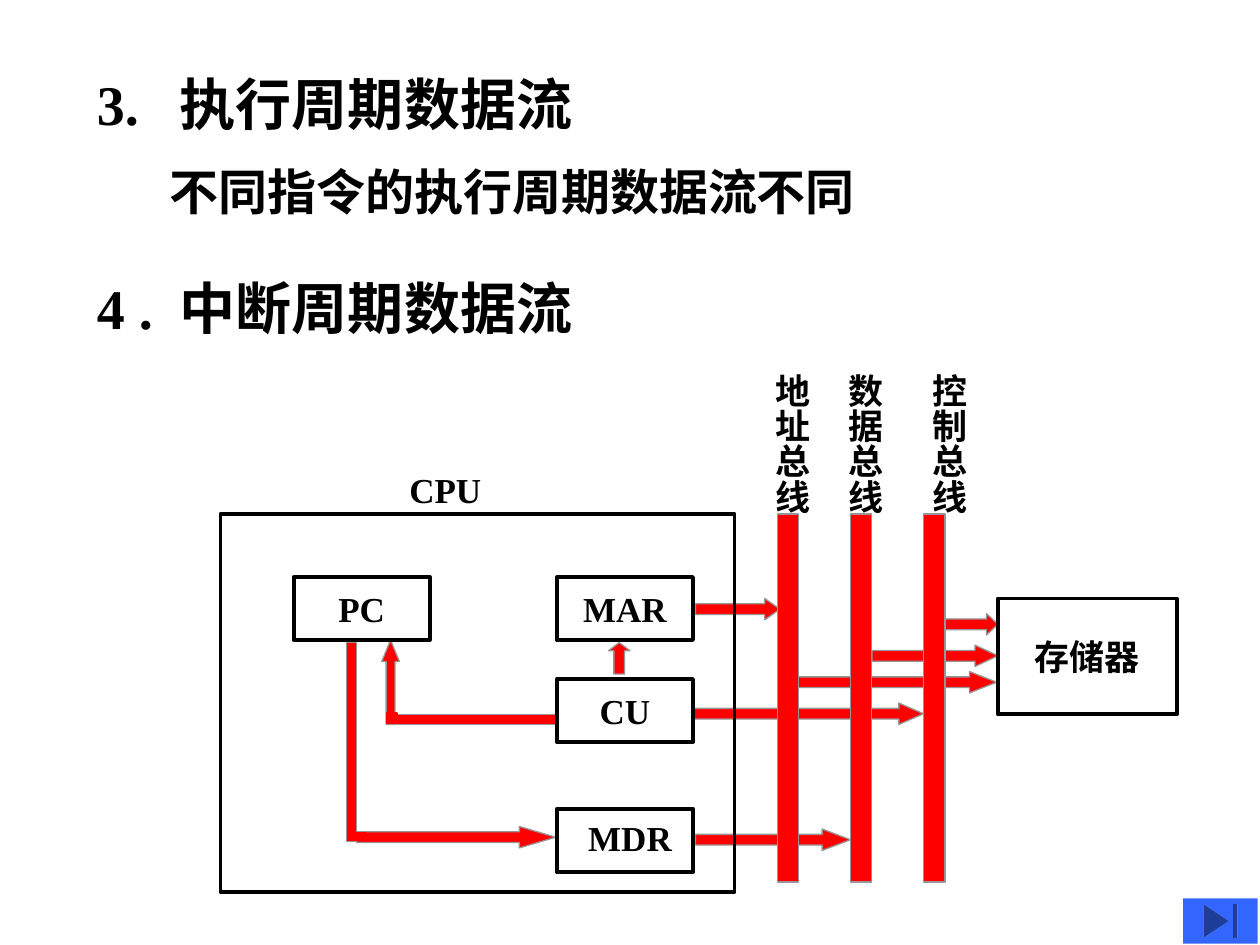
from lxml import etree
from pptx import Presentation
from pptx.dml.color import RGBColor
from pptx.enum.shapes import MSO_SHAPE
from pptx.enum.text import MSO_ANCHOR, MSO_AUTO_SIZE, PP_ALIGN
from pptx.oxml.ns import qn
from pptx.util import Inches, Pt

RECTANGLE = MSO_SHAPE.RECTANGLE
RIGHT_ARROW = MSO_SHAPE.RIGHT_ARROW
UP_ARROW = MSO_SHAPE.UP_ARROW
END_BUTTON = MSO_SHAPE.ACTION_BUTTON_END
MIDDLE = MSO_ANCHOR.MIDDLE
CENTER = PP_ALIGN.CENTER
GROW = MSO_AUTO_SIZE.SHAPE_TO_FIT_TEXT

COLORS = {"text": "000000", "flow": "FF0000", "edge": "969696", "button": "3366FF"}


class DataFlowSlide:
    """Draws the parts of a data flow diagram in one style."""

    font_name = "Times New Roman"
    label_size = 20
    bar_width = 0.17

    def __init__(self, slide):
        self.slide = slide

    def color(self, name):
        return RGBColor.from_string(COLORS[name])

    def shape(self, kind, bounds, fill=None, line=None, weight=0.75):
        shape = self.slide.shapes.add_shape(kind, *map(Inches, bounds))
        shape.shadow.inherit = False
        if fill:
            shape.fill.solid()
            shape.fill.fore_color.rgb = self.color(fill)
        else:
            shape.fill.background()
        if line:
            shape.line.color.rgb = self.color(line)
            shape.line.width = Pt(weight)
        else:
            shape.line.fill.background()
        return shape

    def set_text(self, shape, text, size):
        paragraph = shape.text_frame.paragraphs[0]
        paragraph.text = text
        for run in paragraph.runs:
            run.font.name = self.font_name
            run.font.size = Pt(size)
            run.font.bold = True
            run.font.color.rgb = self.color("text")
        return paragraph

    def bar(self, *bounds):
        self.shape(RECTANGLE, bounds, "flow", "edge")

    def arrow(self, left, top, width, head):
        bounds = (left, top, width, self.bar_width)
        arrow = self.shape(RIGHT_ARROW, bounds, "flow", "edge")
        arrow.adjustments[1] = head

    def up_arrow(self, left, top, width, height, head):
        arrow = self.shape(UP_ARROW, (left, top, width, height), "flow", "edge")
        arrow.adjustments[1] = head

    def joint(self, *bounds):
        self.shape(RECTANGLE, bounds, "flow", "flow").rotation = 90

    def unit(self, text, *bounds):
        unit = self.shape(RECTANGLE, bounds, line="text", weight=2.25)
        if text:
            unit.text_frame.word_wrap = False
            unit.text_frame.vertical_anchor = MIDDLE
            self.set_text(unit, text, self.label_size).alignment = CENTER

    def text(self, text, bounds, size, wrap=True):
        box = self.slide.shapes.add_textbox(*map(Inches, bounds))
        box.text_frame.word_wrap = wrap
        box.text_frame.auto_size = GROW
        self.set_text(box, text, size)
        return box

    def heading(self, number, title, top):
        box = self.text(f"{number}\t{title}", (0.67, top, 6.25, 0.63), 32)
        properties = box.text_frame.paragraphs[0]._p.get_or_add_pPr()
        tabs = etree.SubElement(properties, qn("a:tabLst"))
        etree.SubElement(tabs, qn("a:tab"), pos=str(Inches(0.66)), algn="l")

    def label(self, text, *bounds):
        return self.text(text, bounds, self.label_size, wrap=False)

    def bus(self, name, left, label_left):
        self.bar(left, 4.08, self.bar_width, 2.92)
        label = self.label(name, label_left, 2.87, 0.53, 1.22)
        label.text_frame._txBody.bodyPr.set("vert", "eaVert")

    def end_button(self, *bounds):
        self.shape(END_BUTTON, bounds, "button")


def main():
    presentation = Presentation()
    presentation.slide_width = Inches(10)
    presentation.slide_height = Inches(7.5)
    slide = presentation.slides.add_slide(presentation.slide_layouts[6])
    diagram = DataFlowSlide(slide)

    diagram.heading("3.", "执行周期数据流", 0.5)
    diagram.text("不同指令的执行周期数据流不同", (1.25, 1.23, 5.83, 0.57), 28)
    diagram.heading("4 .", "中断周期数据流", 2.12)

    diagram.bar(2.75, 5.1, 0.08, 1.58)
    for arrow in (
        (5.52, 4.75, 0.67, 0.71),
        (2.83, 6.56, 1.58, 1.69),
        (5.52, 6.58, 1.23, 1.32),
        (6.92, 5.12, 1, 1.07),
        (5.5, 5.58, 1.83, 1.15),
        (6.33, 5.33, 1.58, 1.27),
        (7.42, 4.87, 0.5, 0.53),
    ):
        diagram.arrow(*arrow)
    diagram.up_arrow(3.03, 5.08, 0.14, 0.67, 1.22)
    diagram.bar(3.11, 5.67, 1.3, 0.08)
    diagram.up_arrow(4.83, 5.1, 0.17, 0.25, 0.38)
    diagram.joint(2.83, 6.59, 0.06, 0.1)
    diagram.joint(6.31, 5.37, 0.05, 0.08)
    diagram.joint(3.07, 5.66, 0.08, 0.08)

    for index, (name, label_left) in enumerate(
        (("地址总线", 5.97), ("数据总线", 6.55), ("控制总线", 7.22))
    ):
        diagram.bus(name, 6.17 + 0.58 * index, label_left)

    diagram.unit("", 1.75, 4.08, 4.08, 3)
    diagram.label("CPU", 3.15, 3.67, 0.77, 0.43)
    for name, left, top in (
        ("PC", 2.33, 4.58),
        ("MAR", 4.42, 4.58),
        ("CU", 4.42, 5.39),
        ("", 4.42, 6.42),
    ):
        diagram.unit(name, left, top, 1.08, 0.5)
    diagram.label("MDR", 4.57, 6.43, 0.87, 0.43)
    diagram.unit("存储器", 7.92, 4.75, 1.42, 0.92)
    diagram.end_button(9.39, 7.13, 0.59, 0.36)

    presentation.save("out.pptx")


if __name__ == "__main__":
    main()
